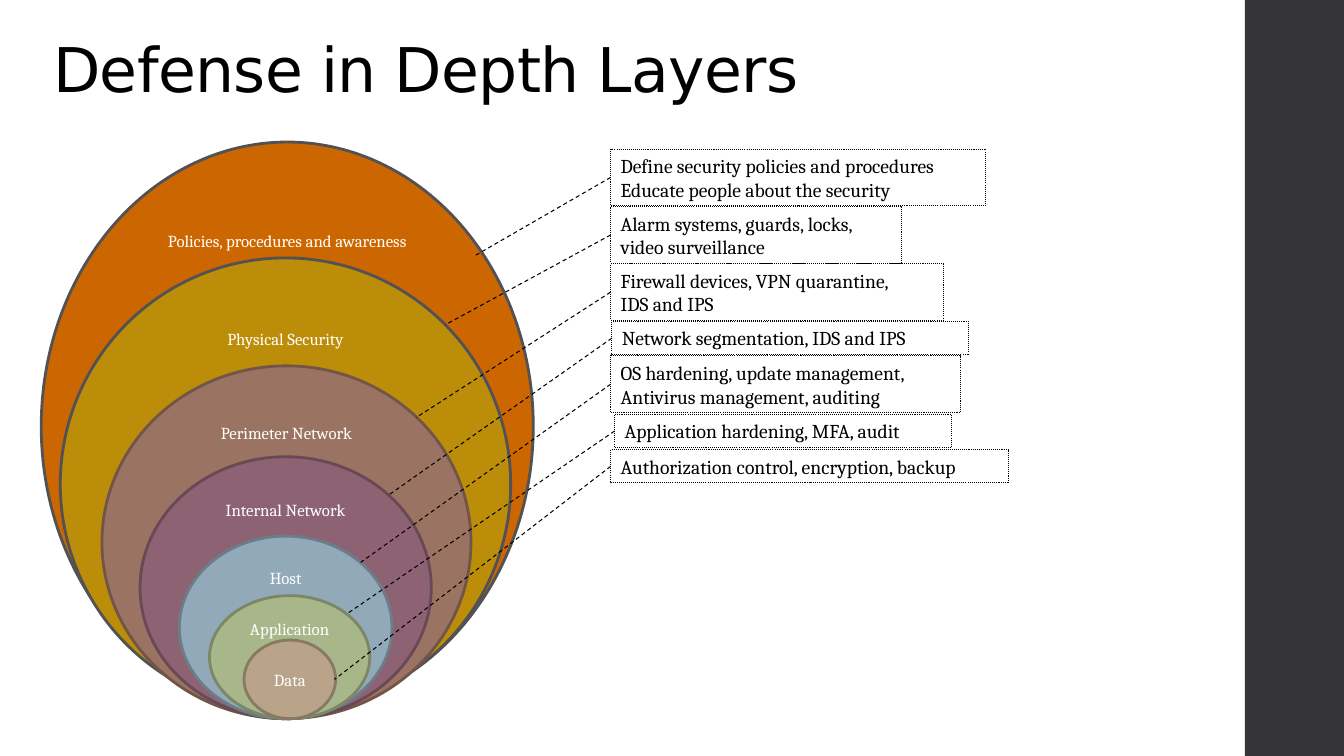
from dataclasses import dataclass

from lxml.etree import SubElement
from pptx import Presentation
from pptx.dml.color import RGBColor
from pptx.enum.dml import MSO_LINE
from pptx.enum.shapes import MSO_CONNECTOR, MSO_SHAPE
from pptx.enum.text import MSO_ANCHOR, PP_ALIGN
from pptx.oxml.ns import qn
from pptx.util import Cm, Pt

SLIDE_W, SLIDE_H = 33.87, 19.05
SIDEBAR_X = 31.37
BOX_HEIGHTS = {1: 0.84, 2: 1.42}  # by number of text lines
LEFT_SIDE = 1


@dataclass
class Layer:
    name: str
    x: float
    y: float
    w: float
    h: float
    fill: str
    line: str
    anchor: MSO_ANCHOR = MSO_ANCHOR.TOP


@dataclass
class Measure:
    text: str
    x: float
    y: float
    w: float
    target_x: float
    target_y: float


LAYERS = [
    Layer("Policies, procedures and awareness", 1.04, 3.58, 12.4, 14.33, "CC6600", "525255"),
    Layer("Physical Security", 1.52, 6.5, 11.35, 11.4, "BC8D08", "525255"),
    Layer("Perimeter Network", 2.57, 9.22, 9.3, 8.89, "9B7362", "725548"),
    Layer("Internal Network", 3.53, 11.51, 7.34, 6.6, "8D6374", "684955"),
    Layer("Host", 4.52, 13.51, 5.36, 4.6, "92A9B9", "6C7D88"),
    Layer("Application", 5.28, 15.01, 4.04, 3.1, "A7B789", "7B8765"),
    Layer("Data", 6.15, 16.13, 2.31, 1.98, "B9A489", "887965", MSO_ANCHOR.MIDDLE),
]

MEASURES = [
    Measure("Define security policies and procedures\nEducate people about the security",
            15.39, 3.76, 9.45, 11.99, 6.43),
    Measure("Alarm systems, guards, locks,\nvideo surveillance", 15.39, 5.21, 7.34, 11.23, 8.18),
    Measure("Firewall devices, VPN quarantine,\nIDS and IPS", 15.39, 6.65, 8.38, 10.49, 10.52),
    Measure("Network segmentation, IDS and IPS", 15.42, 8.1, 8.99, 9.8, 12.47),
    Measure("OS hardening, update management,\nAntivirus management, auditing",
            15.39, 8.97, 8.81, 9.09, 14.17),
    Measure("Application hardening, MFA, audit", 15.49, 10.44, 8.48, 8.74, 15.47),
    Measure("Authorization control, encryption, backup", 15.39, 11.33, 10.03, 8.43, 17.12),
]


def rgb(color: str) -> RGBColor:
    return RGBColor.from_string(color)


def add_preset(slide, kind: MSO_SHAPE, x: float, y: float, w: float, h: float):
    s = slide.shapes.add_shape(kind, Cm(x), Cm(y), Cm(w), Cm(h))
    s.shadow.inherit = False
    return s


def set_text(s, text: str, font: str, size: float, color: str,
             align: PP_ALIGN = PP_ALIGN.LEFT, anchor: MSO_ANCHOR = MSO_ANCHOR.TOP) -> None:
    tf = s.text_frame
    tf.text = text
    tf.word_wrap = True
    tf.vertical_anchor = anchor
    for p in tf.paragraphs:
        p.alignment = align
        for r in p.runs:
            r.font.name = font
            r.font.size = Pt(size)
            r.font.color.rgb = rgb(color)


def add_sidebar(slide) -> None:
    s = add_preset(slide, MSO_SHAPE.RECTANGLE, SIDEBAR_X, 0, SLIDE_W - SIDEBAR_X, SLIDE_H)
    s.fill.solid()
    s.fill.fore_color.rgb = rgb("353537")
    s.line.fill.background()


def add_title(slide, text: str) -> None:
    s = slide.shapes.add_textbox(Cm(1.09), Cm(0.56), Cm(29.34), Cm(2.24))
    set_text(s, text, "DejaVu Sans", 44, "000000", anchor=MSO_ANCHOR.BOTTOM)
    p = s.text_frame.paragraphs[0]
    p.line_spacing = 0.9
    p.runs[0].font._element.set("spc", "-50")


def add_layer(slide, layer: Layer) -> None:
    s = add_preset(slide, MSO_SHAPE.FLOWCHART_CONNECTOR, layer.x, layer.y, layer.w, layer.h)
    s.fill.solid()
    s.fill.fore_color.rgb = rgb(layer.fill)
    s.line.color.rgb = rgb(layer.line)
    s.line.width = Pt(2)
    set_text(s, layer.name, "Cambria", 12, "FFFFFF", PP_ALIGN.CENTER, layer.anchor)


def add_measure(slide, measure: Measure) -> None:
    """Draw the box and the dashed line from it to its layer."""
    height = BOX_HEIGHTS[len(measure.text.splitlines())]
    box = add_preset(slide, MSO_SHAPE.RECTANGLE, measure.x, measure.y, measure.w, height)
    box.fill.background()
    box.line.color.rgb = rgb("000000")
    box.line.width = Pt(0)
    box.line.dash_style = MSO_LINE.ROUND_DOT
    set_text(box, measure.text, "Cambria", 14, "000000")

    line = slide.shapes.add_connector(
        MSO_CONNECTOR.STRAIGHT, Cm(measure.x), Cm(measure.y + height / 2),
        Cm(measure.target_x), Cm(measure.target_y))
    line.begin_connect(box, LEFT_SIDE)
    line.line.color.rgb = rgb("000000")
    line.line.width = Pt(0.75)
    line.line.dash_style = MSO_LINE.DASH
    SubElement(line._element.spPr, qn("a:effectLst"))


def main() -> None:
    prs = Presentation()
    prs.slide_width, prs.slide_height = Cm(SLIDE_W), Cm(SLIDE_H)
    slide = prs.slides.add_slide(prs.slide_layouts[6])
    add_sidebar(slide)
    add_title(slide, "Defense in Depth Layers")
    for layer in LAYERS:
        add_layer(slide, layer)
    for measure in MEASURES:
        add_measure(slide, measure)
    prs.save("out.pptx")


if __name__ == "__main__":
    main()
